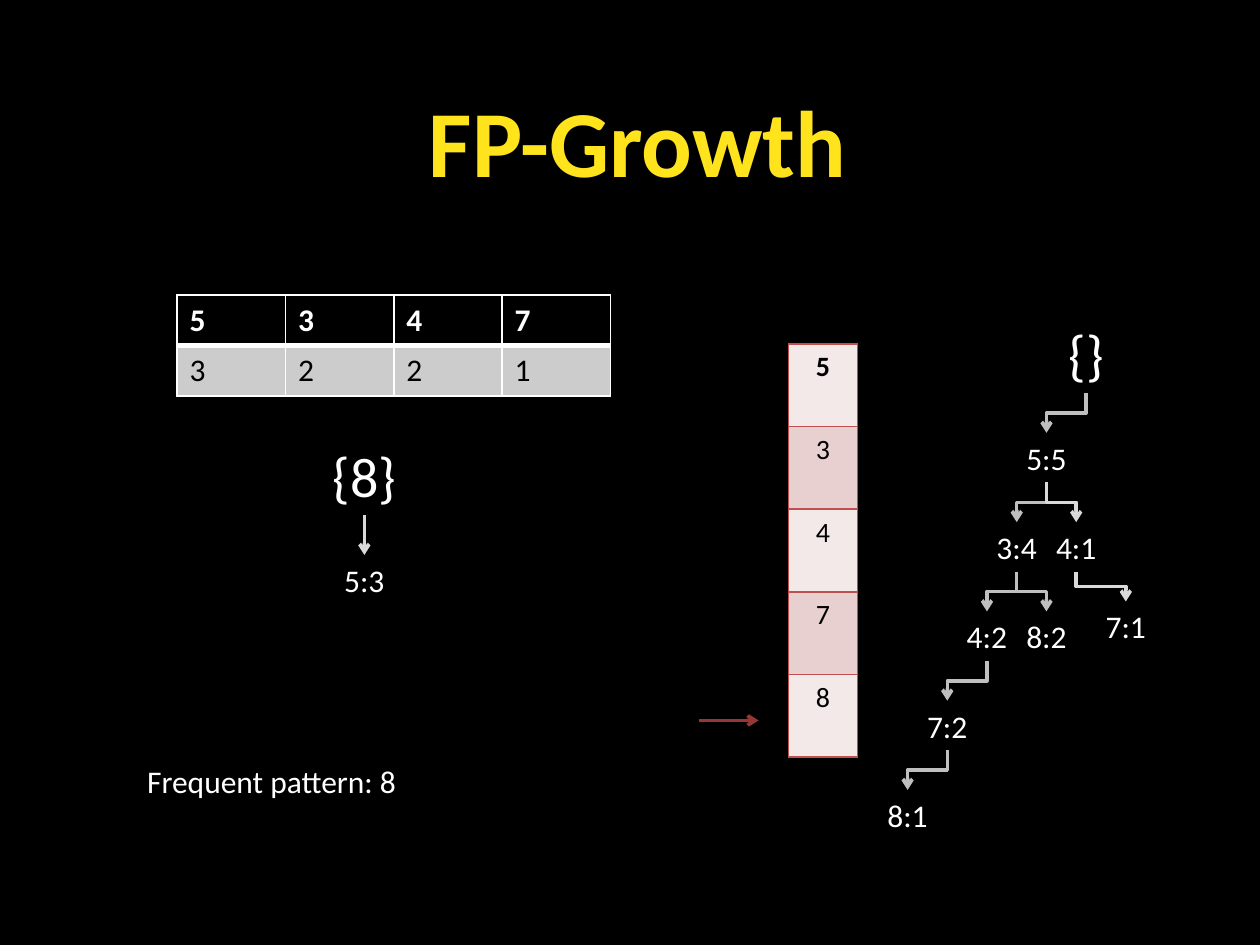
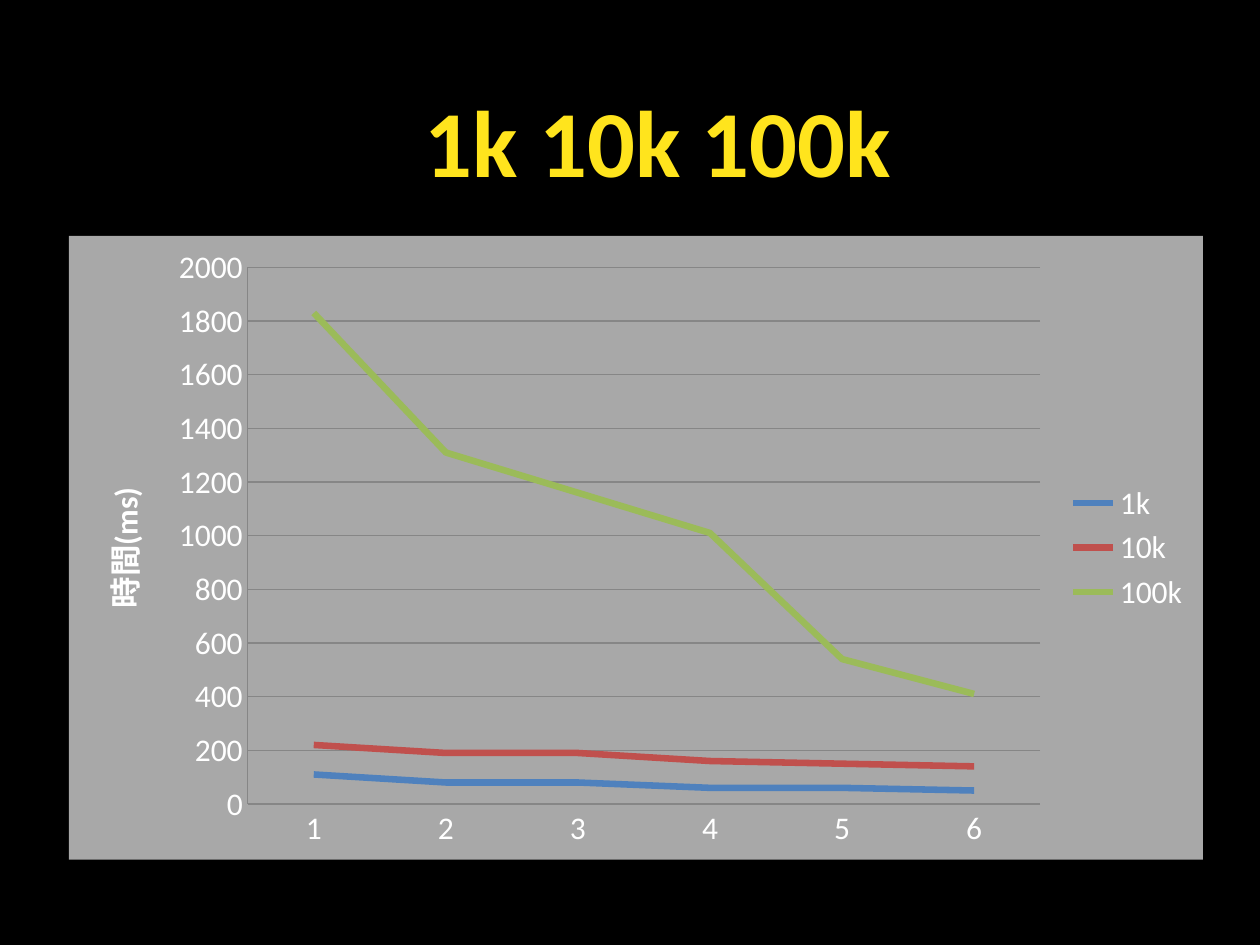
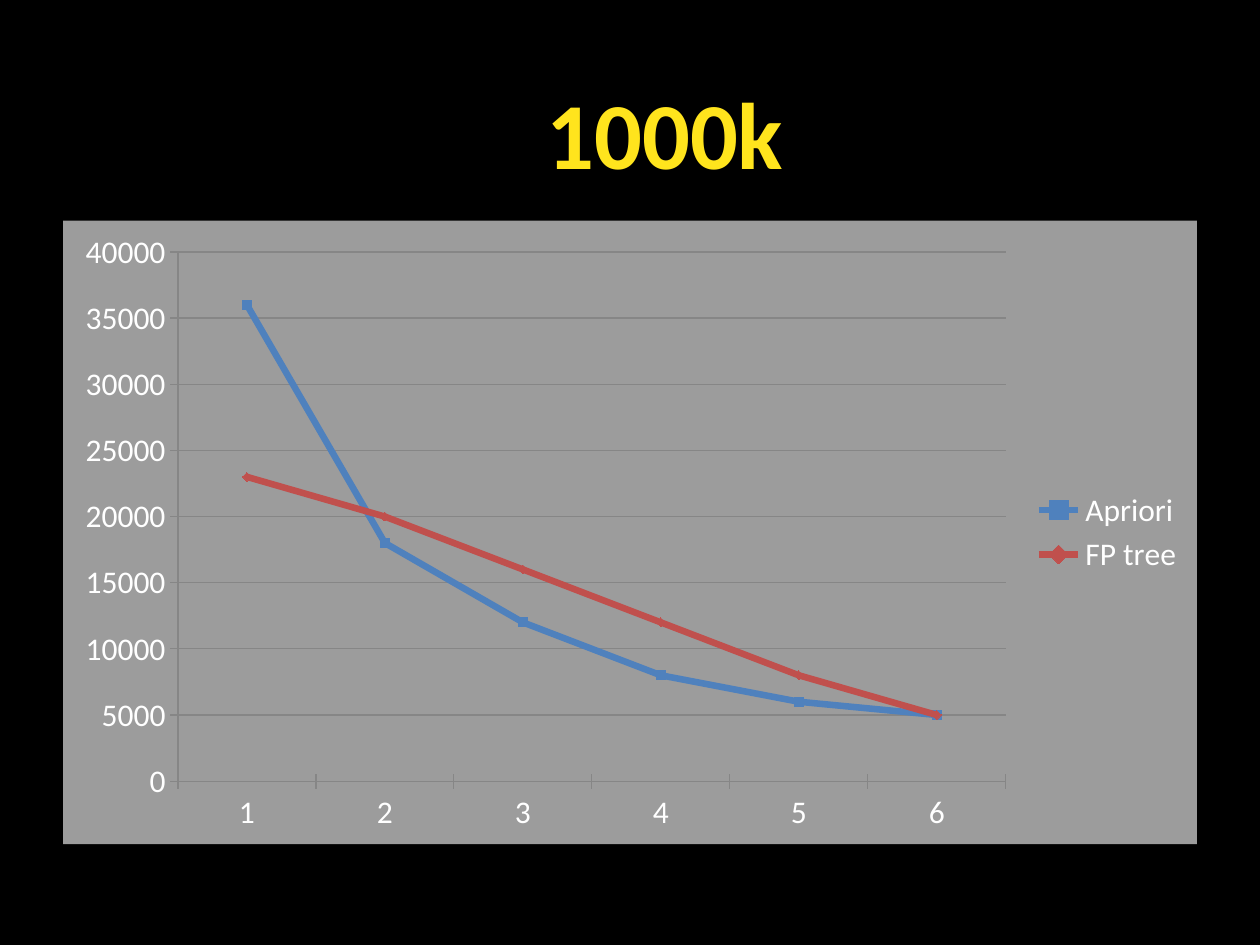
from pptx import Presentation
from pptx import oxml as ox
from pptx.chart import data as cd
from pptx.dml.color import RGBColor
from pptx.enum import chart as ch, shapes as sh, text as tx
from pptx.oxml import ns
from pptx.util import Pt

BLACK = RGBColor(0x00, 0x00, 0x00)
WHITE = RGBColor(0xFF, 0xFF, 0xFF)
YELLOW = RGBColor(0xFF, 0xE4, 0x1D)
RED = RGBColor(0xC0, 0x50, 0x4D)
BRICK = RGBColor(0x95, 0x37, 0x35)
BLUE = RGBColor(0x4F, 0x81, 0xBD)
GREEN = RGBColor(0x9B, 0xBB, 0x59)
ROSE = RGBColor(0xE8, 0xD0, 0xD0)
PALE = RGBColor(0xF4, 0xE9, 0xE9)
ASH = RGBColor(0xCC, 0xCC, 0xCC)
MIST = RGBColor(0xD9, 0xD9, 0xD9)
STONE = RGBColor(0xBF, 0xBF, 0xBF)
GRID = RGBColor(0x86, 0x86, 0x86)

FACE = "Calibri"
UNIT = 5.67
NODE_W, NODE_H, ROOT_H = 12, 5, 8
MID, LEFT = tx.PP_ALIGN.CENTER, tx.PP_ALIGN.LEFT
TICK = ch.XL_TICK_MARK
MARK = ch.XL_MARKER_STYLE


def put(obj, **vals):
    for key, val in vals.items():
        setattr(obj, key, val)


def ink(font, size, color, bold=False):
    put(font, name=FACE, size=Pt(size), bold=bold)
    font.color.rgb = color


def xml(tag, body="", attrs=""):
    pre = tag.split(":")[0]
    spaces = ns.nsdecls(*{pre, "a"})
    return ox.parse_xml(f"<{tag} {spaces} {attrs}>{body}</{tag}>")


def paint(color, alpha=100):
    return (f'<a:solidFill><a:srgbClr val="{color}">'
            f'<a:alpha val="{alpha * 1000}"/></a:srgbClr></a:solidFill>')


def label(sl, box, words, size, color=WHITE, bold=False, align=MID, **frame):
    item = sl.shapes.add_textbox(*map(Pt, box))
    put(item.text_frame, **{"word_wrap": True, **frame})
    para = item.text_frame.paragraphs[0]
    para.alignment = align
    run = para.add_run()
    run.text = words
    ink(run.font, size, color, bold)
    return item


def title(sl, words, left, top, width):
    label(sl, (left, top, width, 73), words, 54, YELLOW, True, word_wrap=False)


def arrow(sl, kind, ends, color):
    link = sl.shapes.add_connector(kind, *map(Pt, ends))
    link.line.width = Pt(2)
    link.line.color.rgb = color
    link.line._get_or_add_ln().append(xml("a:tailEnd", attrs='type="arrow"'))
    link._element.spPr.append(xml("a:effectLst"))
    return link


def bend(sl, x1, y1, x2, y2, color):
    run, rise = (y2 - y1) / 2, abs(x2 - x1) / 2
    mx, my = (x1 + x2) / 2, (y1 + y2) / 2
    turn = 270 if x2 > x1 else 90
    if turn == 270:
        run = -run
    ends = mx - run, my - rise, mx + run, my + rise
    link = arrow(sl, sh.MSO_CONNECTOR.ELBOW, ends, color)
    link._element.spPr.xfrm.set("rot", str(turn * 60000))


def tree(sl, left, top, nodes):
    made = {}
    for words, head, col, row, color in nodes:
        high = NODE_H if head else ROOT_H
        x, y = left + col * UNIT, top + row * UNIT
        box = x - NODE_W * UNIT / 2, y, NODE_W * UNIT, high * UNIT
        item = label(sl, box, words, 18 if head else 32,
                     vertical_anchor=tx.MSO_ANCHOR.MIDDLE,
                     margin_top=0, margin_bottom=0)
        made[words] = item, x, y + high * UNIT
        if not head:
            continue
        source, px, py = made[head]
        if px == x:
            link = arrow(sl, sh.MSO_CONNECTOR.STRAIGHT, (px, py, x, y), color)
            link.begin_connect(source, 2)
            link.end_connect(item, 0)
        else:
            bend(sl, px, py, x, y, color)


def table(sl, box, rows, size, fills, inks, edge, rule, align):
    left, top, wide, high = box
    count = len(rows[0])
    grid = sl.shapes.add_table(len(rows), count, *map(Pt, box)).table
    for col in grid.columns:
        col.width = Pt(wide / count)
    for r, vals in enumerate(rows):
        grid.rows[r].height = Pt(high / len(rows))
        for c, val in enumerate(vals):
            cell = grid.cell(r, c)
            widths = {"L": 1, "R": 1, "T": rule if r == 1 else 1,
                      "B": rule if r == 0 else 1}
            props = cell._tc.get_or_add_tcPr()
            for side, width in widths.items():
                props.append(xml(f"a:ln{side}", paint(edge), f'w="{Pt(width)}"'))
            cell.fill.solid()
            cell.fill.fore_color.rgb = fills[r % 2]
            para = cell.text_frame.paragraphs[0]
            para.alignment = align
            run = para.add_run()
            run.text = val
            ink(run.font, size, inks[r % 2], r == 0)


def chart(sl, box, kind, series, alpha, tick, top, step, name=None):
    data = cd.CategoryChartData()
    data.categories = list("123456")
    for key, vals, *rest in series:
        data.add_series(key, vals)
    plot = sl.shapes.add_chart(kind, *map(Pt, box), data).chart
    put(plot, has_title=False, has_legend=True)
    put(plot.legend, position=ch.XL_LEGEND_POSITION.RIGHT, include_in_layout=False)
    ink(plot.font, 18, WHITE)
    back = xml("c:spPr", paint(WHITE, alpha) + "<a:ln><a:noFill/></a:ln>")
    plot._chartSpace.find(ns.qn("c:txPr")).addprevious(back)
    for item, (key, vals, color, mark) in zip(plot.plots[0].series, series):
        put(item, smooth=False)
        put(item.format.line, width=Pt(3.75))
        item.format.line.color.rgb = color
        item.marker.style = mark
        if mark != MARK.NONE:
            item.marker.size = 5
            item.marker.format.fill.solid()
            item.marker.format.fill.fore_color.rgb = color
            item.marker.format.line.color.rgb = color
    cats, axis = plot.category_axis, plot.value_axis
    put(axis, minimum_scale=0, maximum_scale=top, major_unit=step,
        has_major_gridlines=True)
    for part in (cats, axis):
        put(part, major_tick_mark=tick, minor_tick_mark=TICK.NONE)
    for part in (cats, axis, axis.major_gridlines):
        part.format.line.width = Pt(0.75)
        part.format.line.color.rgb = GRID
    if name:
        frame = axis.axis_title.text_frame
        run = frame.paragraphs[0].add_run()
        run.text = name
        ink(run.font, 18, WHITE, True)
        frame._txBody.bodyPr.set("rot", "-5400000")
        frame._txBody.bodyPr.set("vert", "horz")


def growth(sl):
    title(sl, "FP-Growth", 236, 44, 257)
    table(sl, (450.5, 196.5, 39.6, 236.2), list("53478"), 16,
          (PALE, ROSE), (BLACK, BLACK), RED, 1, MID)
    arrow(sl, sh.MSO_CONNECTOR.STRAIGHT, (399.5, 411.7, 433.5, 411.7), BRICK)
    tree(sl, 484.6, 179.3, [
        ("{}", None, 24, 0, None),
        ("5:5", "{}", 20, 12, STONE),
        ("3:4", "5:5", 17, 21, STONE),
        ("4:2", "3:4", 14, 30, STONE),
        ("7:2", "4:2", 10, 39, STONE),
        ("8:1", "7:2", 6, 48, STONE),
        ("8:2", "3:4", 20, 30, STONE),
        ("4:1", "5:5", 23, 21, MIST),
        ("7:1", "4:1", 28, 29, MIST),
    ])
    table(sl, (101.2, 168.6, 247.7, 57.6), ["5347", "3221"], 18,
          (BLACK, ASH), (WHITE, BLACK), WHITE, 3, LEFT)
    tree(sl, 174.2, 249.1, [
        ("{8}", None, 6, 0, None),
        ("5:3", "{8}", 6, 12, MIST),
    ])
    label(sl, (77, 432, 216, 29), "Frequent pattern: 8", 18, align=LEFT)


def small(sl):
    title(sl, "1k 10k 100k", 234, 44, 284)
    chart(sl, (39.4, 134.8, 648, 356.4), ch.XL_CHART_TYPE.LINE, [
        ("1k", (110, 80, 80, 60, 60, 50), BLUE, MARK.NONE),
        ("10k", (220, 190, 190, 160, 150, 140), RED, MARK.NONE),
        ("100k", (1830, 1310, 1160, 1010, 540, 410), GREEN, MARK.NONE),
    ], 66, TICK.NONE, 2000, 200, "時間(ms)")


def large(sl):
    title(sl, "1000k", 304.5, 39.5, 151)
    chart(sl, (36, 126, 648, 356.4), ch.XL_CHART_TYPE.LINE_MARKERS, [
        ("Apriori", (36000, 18000, 12000, 8000, 6000, 5000), BLUE, MARK.SQUARE),
        ("FP tree", (23000, 20000, 16000, 12000, 8000, 5000), RED, MARK.DIAMOND),
    ], 61, TICK.CROSS, 40000, 5000)


def main():
    deck = Presentation()
    put(deck, slide_width=Pt(720), slide_height=Pt(540))
    back = deck.slide_master.background.fill
    back.solid()
    back.fore_color.rgb = BLACK
    for build in (growth, small, large):
        build(deck.slides.add_slide(deck.slide_layouts[6]))
    deck.save("out.pptx")


if __name__ == "__main__":
    main()
